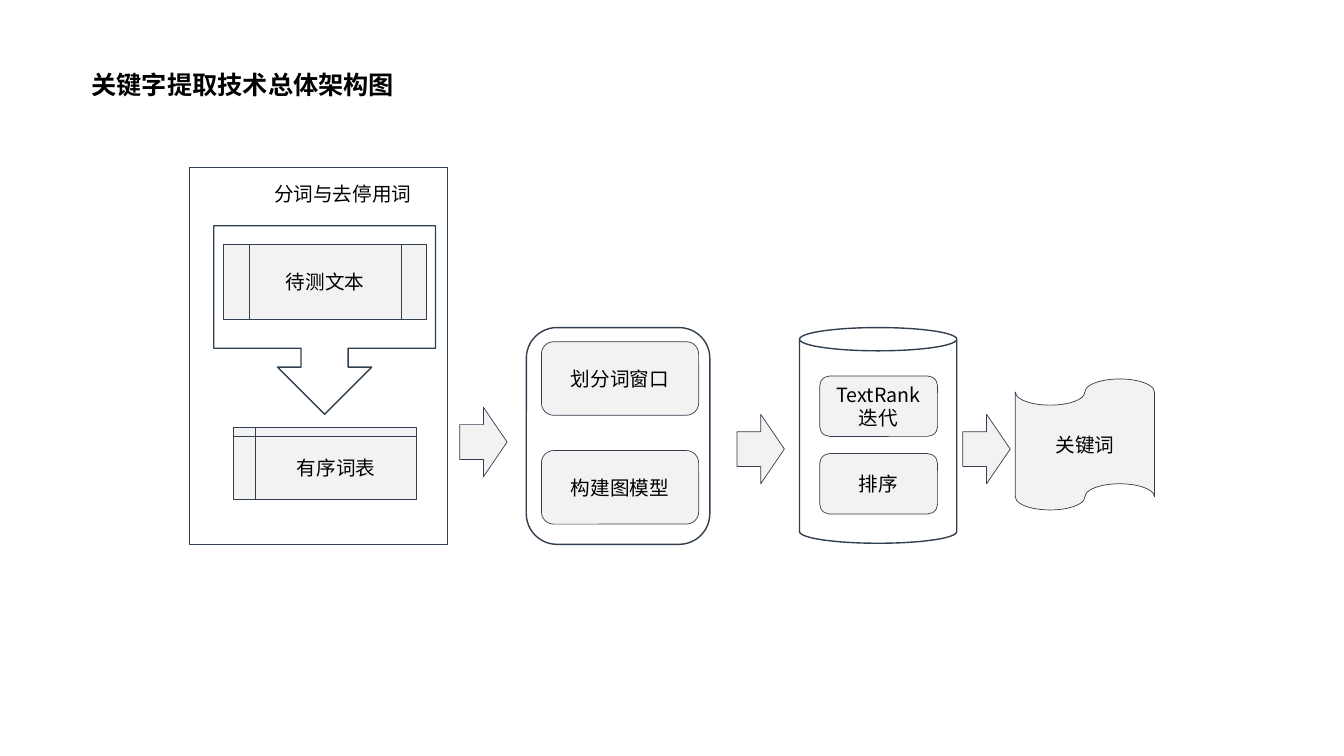
from dataclasses import dataclass

from lxml import etree
from pptx import Presentation
from pptx import util as u
from pptx.dml import color
from pptx.enum import shapes, text
from pptx.oxml import ns
from pptx.shapes import autoshape, shapetree

FONT = "Noto Sans CJK SC"
INK, OUTLINE, WHITE, GREY = "000000", "323F4F", "FFFFFF", "F2F2F2"
KIND = shapes.MSO_SHAPE


@dataclass
class Node:
    """A diagram shape; lengths are in inches."""
    kind: KIND
    left: float
    top: float
    width: float
    height: float
    label: str = ""
    adj: float | None = None


def rgb(value: str) -> color.RGBColor:
    """Turn a hex string into a colour."""
    return color.RGBColor.from_string(value)


def write(tf: autoshape.TextFrame, label: str, size: float,
          align: text.PP_ALIGN, bold: bool = False) -> None:
    """Put one formatted line of text in a frame."""
    tf.text = label
    p = tf.paragraphs[0]
    p.alignment = align
    r = p.runs[0]
    r.font.name = FONT
    r.font.size = u.Pt(size)
    r.font.bold = bold
    r.font.color.rgb = rgb(INK)
    etree.SubElement(r.font._element, ns.qn("a:ea"), typeface=FONT)


def add_node(tree: shapetree.GroupShapes, node: Node, fill: str,
             line: float) -> None:
    """Draw a node with its fill, outline and optional label."""
    sp = tree.add_shape(node.kind, u.Inches(node.left), u.Inches(node.top),
                        u.Inches(node.width), u.Inches(node.height))
    sp.shadow.inherit = False
    sp.fill.solid()
    sp.fill.fore_color.rgb = rgb(fill)
    sp.line.color.rgb = rgb(OUTLINE)
    sp.line.width = u.Pt(line)
    if node.adj is not None:
        sp.adjustments[0] = node.adj
    if node.label:
        sp.text_frame.vertical_anchor = text.MSO_ANCHOR.MIDDLE
        write(sp.text_frame, node.label, 14, text.PP_ALIGN.CENTER)


def add_caption(tree: shapetree.GroupShapes, box: tuple[float, ...],
                label: str, size: float, align: text.PP_ALIGN,
                wrap: bool, bold: bool = False) -> None:
    """Add a text box that grows with its text."""
    sp = tree.add_textbox(*map(u.Inches, box))
    tf = sp.text_frame
    write(tf, label, size, align, bold)
    tf.word_wrap = wrap
    tf.auto_size = text.MSO_AUTO_SIZE.SHAPE_TO_FIT_TEXT


CONTAINERS = [
    Node(KIND.RECTANGLE, 1.88, 1.66, 2.56, 3.74),
    Node(KIND.DOWN_ARROW_CALLOUT, 2.12, 2.24, 2.2, 1.87),
    Node(KIND.ROUNDED_RECTANGLE, 5.22, 3.25, 1.82, 2.15),
    Node(KIND.CAN, 7.93, 3.25, 1.56, 2.14, adj=0.148),
]
STEPS = [
    Node(KIND.FLOWCHART_PREDEFINED_PROCESS, 2.22, 2.42, 2.01, 0.75, "待测文本"),
    Node(KIND.FLOWCHART_INTERNAL_STORAGE, 2.31, 4.24, 1.82, 0.71, "有序词表"),
    Node(KIND.ROUNDED_RECTANGLE, 5.37, 3.39, 1.56, 0.73, "划分词窗口"),
    Node(KIND.ROUNDED_RECTANGLE, 5.37, 4.47, 1.56, 0.73, "构建图模型"),
    Node(KIND.ROUNDED_RECTANGLE, 8.13, 3.73, 1.17, 0.6, "TextRank迭代"),
    Node(KIND.ROUNDED_RECTANGLE, 8.13, 4.5, 1.17, 0.6, "排序"),
    Node(KIND.FLOWCHART_PUNCHED_TAPE, 10.07, 3.76, 1.38, 1.3, "关键词"),
]
ARROWS = [Node(KIND.RIGHT_ARROW, left, top, 0.47, 0.69)
          for left, top in [(4.56, 4.04), (7.31, 4.11), (9.55, 4.11)]]

prs = Presentation()
prs.slide_width, prs.slide_height = u.Inches(13.33), u.Inches(7.5)
s = prs.slides.add_slide(prs.slide_layouts[6])

add_caption(s.shapes, (0.81, 0.64, 4.89, 0.4), "关键字提取技术总体架构图", 18,
            text.PP_ALIGN.JUSTIFY, wrap=True, bold=True)
diagram = s.shapes.add_group_shape().shapes
for container in CONTAINERS:
    add_node(diagram, container, WHITE, 1)
for step in STEPS + ARROWS:
    add_node(diagram, step, GREY, 0.5)
add_caption(diagram, (2.62, 1.76, 1.58, 0.34), "分词与去停用词", 14,
            text.PP_ALIGN.LEFT, wrap=False)

prs.save("out.pptx")
